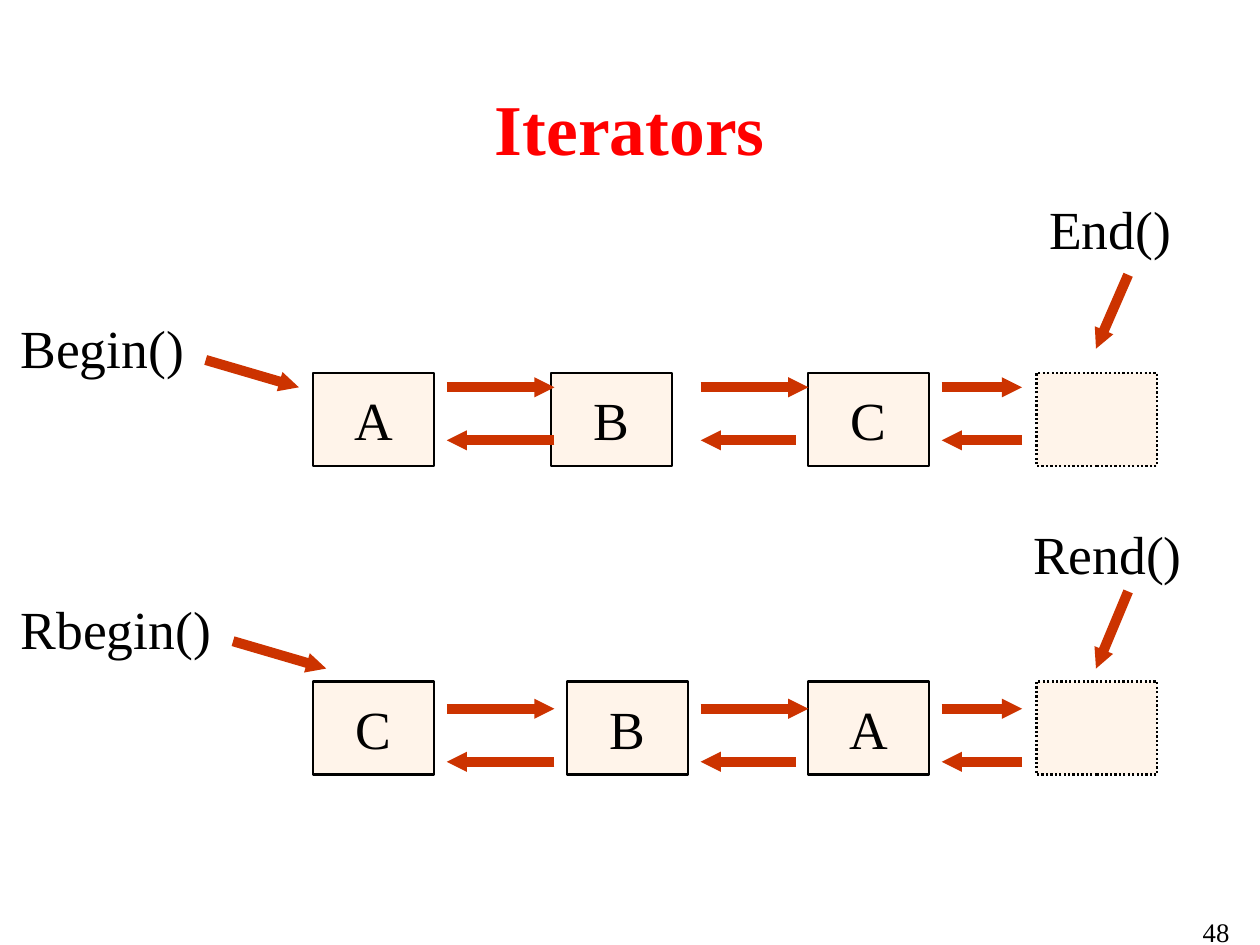
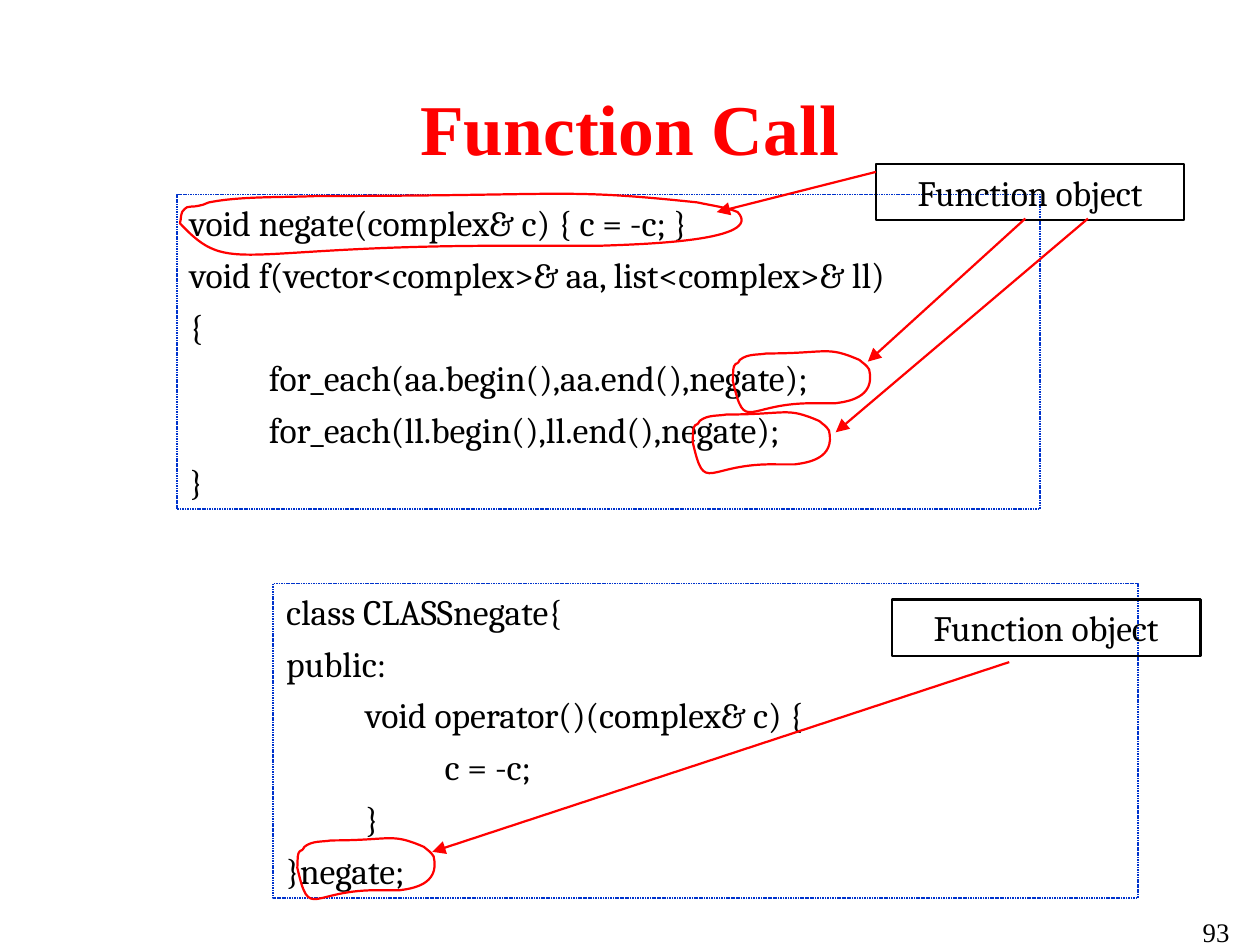
from dataclasses import dataclass
from typing import NamedTuple, Optional

from lxml.etree import SubElement
from pptx import Presentation
from pptx.dml.color import RGBColor
from pptx.enum.dml import MSO_LINE
from pptx.enum.shapes import MSO_CONNECTOR, MSO_SHAPE
from pptx.enum.text import MSO_ANCHOR, PP_ALIGN
from pptx.oxml.ns import qn
from pptx.shapes.autoshape import Shape
from pptx.slide import Slide
from pptx.util import Emu, Pt

PX = 9144
SLIDE_WIDTH, SLIDE_HEIGHT = 784, 588


def px(length: float) -> Emu:
    return Emu(round(length * PX))


@dataclass(frozen=True)
class Theme:
    background: str = "FFFFFF"
    ink: str = "000000"
    accent: str = "FF0000"
    link: str = "CC3300"
    cell: str = "FFCC99"
    cell_alpha: int = 20000
    code_border: str = "0033CC"
    serif: str = "Times New Roman"
    code: str = "Cambria"
    title_size: int = 32
    label_size: int = 24
    code_size: int = 16
    number_size: int = 12
    code_spacing: int = 4
    tab_step: float = 49.35
    tab_count: int = 8


THEME = Theme()


class Box(NamedTuple):
    left: int
    top: int
    width: int
    height: int


class Point(NamedTuple):
    x: int
    y: int


class Arrow(NamedTuple):
    start: Point
    end: Point


class Dash(NamedTuple):
    length: int
    gap: int


@dataclass(frozen=True)
class TextStyle:
    size: int
    font: str = THEME.serif
    color: str = THEME.ink
    bold: bool = False
    align: PP_ALIGN = PP_ALIGN.LEFT
    anchor: MSO_ANCHOR = MSO_ANCHOR.TOP
    inset: Point = Point(8, 4)
    wrap: bool = True
    spacing: int = 0
    tabs: bool = False


@dataclass(frozen=True)
class Stroke:
    color: str
    width: float
    preset: Optional[MSO_LINE] = None
    dash: Optional[Dash] = None
    head: str = "med"


TITLE = TextStyle(THEME.title_size, color=THEME.accent, bold=True,
                  align=PP_ALIGN.CENTER, anchor=MSO_ANCHOR.MIDDLE)
NUMBER = TextStyle(THEME.number_size, align=PP_ALIGN.RIGHT)
LABEL = TextStyle(THEME.label_size, inset=Point(10, 5))
CELL = TextStyle(THEME.label_size, align=PP_ALIGN.CENTER, anchor=MSO_ANCHOR.MIDDLE,
                 inset=Point(10, 5), wrap=False)
CODE = TextStyle(THEME.code_size, THEME.code, spacing=THEME.code_spacing, tabs=True)
CALLOUT = TextStyle(THEME.code_size, THEME.code, align=PP_ALIGN.CENTER)

SOLID_BORDER = Stroke(THEME.ink, 1)
END_BORDER = Stroke(THEME.ink, 1, preset=MSO_LINE.ROUND_DOT)
CODE_BORDER = Stroke(THEME.code_border, 0.75, dash=Dash(100000, 50000))
LINK_STROKE = Stroke(THEME.link, 4.5, head="sm")
MARK_STROKE = Stroke(THEME.accent, 1)


@dataclass(frozen=True)
class IteratorRow:
    cells: tuple[tuple[str, int], ...]
    cell_top: int
    forward_y: int
    begin: str
    begin_box: Box
    begin_arrow: Arrow
    end: str
    end_box: Box
    end_arrow: Arrow


CELL_WIDTH, CELL_HEIGHT = 75, 58
END_CELL_LEFT = 645
BACKWARD_OFFSET = 33
FORWARD_SPANS = ((278, 345), (436, 503), (586, 636))
BACKWARD_SPANS = ((345, 278), (495, 436), (636, 586))

ROWS = (
    IteratorRow((("A", 195), ("B", 343), ("C", 503)), 232, 241,
                "Begin()", Box(3, 191, 133, 50), Arrow(Point(128, 224), Point(186, 241)),
                "End()", Box(643, 117, 117, 50), Arrow(Point(702, 171), Point(682, 217))),
    IteratorRow((("C", 195), ("B", 353), ("A", 503)), 424, 441,
                "Rbegin()", Box(3, 366, 150, 50), Arrow(Point(145, 399), Point(203, 416)),
                "Rend()", Box(633, 319, 133, 50), Arrow(Point(702, 368), Point(682, 416))),
)

CODE_BLOCKS = (
    (Box(110, 121, 537, 196), (
        "void negate(complex& c) { c = -c; }",
        "void f(vector<complex>& aa, list<complex>& ll)",
        "{",
        "\tfor_each(aa.begin(),aa.end(),negate);",
        "\tfor_each(ll.begin(),ll.end(),negate);",
        "}",
    )),
    (Box(170, 363, 538, 196), (
        "class CLASSnegate{",
        "public:",
        "\tvoid operator()(complex& c) {",
        "\t\tc = -c;",
        "\t}",
        "}negate;",
    )),
)
CALLOUT_BOXES = (Box(555, 373, 192, 35), Box(545, 102, 192, 35))
LOOP_BOXES = (Box(185, 518, 89, 56), Box(456, 215, 89, 56),
              Box(431, 253, 89, 56), Box(112, 117, 364, 56))
CALLOUT_ARROWS = (
    Arrow(Point(628, 412), Point(269, 530)),
    Arrow(Point(638, 136), Point(540, 225)),
    Arrow(Point(677, 136), Point(520, 269)),
    Arrow(Point(545, 107), Point(446, 132)),
)

LOOP_WIDTH, LOOP_HEIGHT = 364, 56
LOOP_START = Point(214, 36)
LOOP_CURVES = (
    (Point(33, 35), Point(32, 56), Point(0, 22)),
    (Point(1, 19), Point(0, 15), Point(3, 13)),
    (Point(4, 11), Point(9, 12), Point(12, 11)),
    (Point(14, 11), Point(15, 10), Point(18, 9)),
    (Point(38, 5), Point(64, 6), Point(86, 5)),
    (Point(243, 5), Point(237, 0), Point(322, 9)),
    (Point(331, 11), Point(340, 12), Point(347, 15)),
    (Point(364, 33), Point(289, 35), Point(260, 36)),
    (Point(245, 36), Point(229, 36), LOOP_START),
)


def write(shape: Shape, lines: tuple[str, ...], style: TextStyle) -> None:
    frame = shape.text_frame
    frame.word_wrap = style.wrap
    frame.vertical_anchor = style.anchor
    frame.margin_left = frame.margin_right = px(style.inset.x)
    frame.margin_top = frame.margin_bottom = px(style.inset.y)
    frame.text = "\n".join(lines)
    for index, paragraph in enumerate(frame.paragraphs):
        paragraph.alignment = style.align
        if index and style.spacing:
            paragraph.space_before = Pt(style.spacing)
        if style.tabs:
            tab_list = SubElement(paragraph._p.get_or_add_pPr(), qn("a:tabLst"))
            for stop in range(THEME.tab_count):
                SubElement(tab_list, qn("a:tab"), pos=str(px(stop * THEME.tab_step)), algn="l")
        for run in paragraph.runs:
            run.font.name = style.font
            run.font.size = Pt(style.size)
            run.font.bold = style.bold
            run.font.color.rgb = RGBColor.from_string(style.color)


def apply_stroke(shape, stroke: Stroke) -> None:
    shape.line.color.rgb = RGBColor.from_string(stroke.color)
    shape.line.width = Pt(stroke.width)
    if stroke.preset is not None:
        shape.line.dash_style = stroke.preset
    if stroke.dash is not None:
        custom = SubElement(shape.line._get_or_add_ln(), qn("a:custDash"))
        SubElement(custom, qn("a:ds"), d=str(stroke.dash.length), sp=str(stroke.dash.gap))


def add_text(slide: Slide, box: Box, text: str, style: TextStyle) -> None:
    write(slide.shapes.add_textbox(*map(px, box)), (text,), style)


def outline(shape: Shape, stroke: Stroke) -> Shape:
    shape.shadow.inherit = False
    shape.fill.background()
    apply_stroke(shape, stroke)
    return shape


def add_frame(slide: Slide, box: Box, stroke: Stroke) -> Shape:
    return outline(slide.shapes.add_shape(MSO_SHAPE.RECTANGLE, *map(px, box)), stroke)


def add_cell(slide: Slide, left: int, top: int, stroke: Stroke, text: str = "") -> None:
    shape = add_frame(slide, Box(left, top, CELL_WIDTH, CELL_HEIGHT), stroke)
    shape.fill.solid()
    shape.fill.fore_color.rgb = RGBColor.from_string(THEME.cell)
    color = shape._element.spPr.find(qn("a:solidFill")).find(qn("a:srgbClr"))
    SubElement(color, qn("a:alpha"), val=str(THEME.cell_alpha))
    if text:
        write(shape, (text,), CELL)


def add_arrow(slide: Slide, arrow: Arrow, stroke: Stroke) -> None:
    connector = slide.shapes.add_connector(
        MSO_CONNECTOR.STRAIGHT, *map(px, (*arrow.start, *arrow.end)))
    apply_stroke(connector, stroke)
    SubElement(connector.line._get_or_add_ln(), qn("a:tailEnd"),
               type="triangle", w=stroke.head, len=stroke.head)
    SubElement(connector._element.spPr, qn("a:effectLst"))


def add_loop(slide: Slide, box: Box) -> None:
    def place(point: Point) -> tuple[Emu, Emu]:
        return (px(box.left + point.x * box.width / LOOP_WIDTH),
                px(box.top + point.y * box.height / LOOP_HEIGHT))

    builder = slide.shapes.build_freeform(*place(LOOP_START))
    builder.add_line_segments([place(point) for curve in LOOP_CURVES for point in curve],
                              close=True)
    shape = outline(builder.convert_to_shape(), MARK_STROKE)
    segments = list(shape._element.iter(qn("a:lnTo")))
    for first in range(0, len(LOOP_CURVES) * 3, 3):
        curve = segments[first].makeelement(qn("a:cubicBezTo"))
        segments[first].addprevious(curve)
        for segment in segments[first:first + 3]:
            curve.append(segment[0])
            segment.getparent().remove(segment)


def add_slide(presentation, title: str, number: int) -> Slide:
    slide = presentation.slides.add_slide(presentation.slide_layouts[6])
    slide.background.fill.solid()
    slide.background.fill.fore_color.rgb = RGBColor.from_string(THEME.background)
    add_text(slide, Box(577, 566, 196, 41), str(number), NUMBER)
    add_text(slide, Box(26, 48, 732, 62), title, TITLE)
    return slide


def add_iterator_row(slide: Slide, row: IteratorRow) -> None:
    for text, left in row.cells:
        add_cell(slide, left, row.cell_top, SOLID_BORDER, text)
    add_cell(slide, END_CELL_LEFT, row.cell_top, END_BORDER)
    for spans, y in ((FORWARD_SPANS, row.forward_y),
                     (BACKWARD_SPANS, row.forward_y + BACKWARD_OFFSET)):
        for start, end in spans:
            add_arrow(slide, Arrow(Point(start, y), Point(end, y)), LINK_STROKE)
    for text, box, arrow in ((row.begin, row.begin_box, row.begin_arrow),
                             (row.end, row.end_box, row.end_arrow)):
        add_text(slide, box, text, LABEL)
        add_arrow(slide, arrow, LINK_STROKE)


def add_function_call(slide: Slide) -> None:
    for box, lines in CODE_BLOCKS:
        write(add_frame(slide, box, CODE_BORDER), lines, CODE)
    for box in CALLOUT_BOXES:
        write(add_frame(slide, box, SOLID_BORDER), ("Function object",), CALLOUT)
    for box in LOOP_BOXES:
        add_loop(slide, box)
    for arrow in CALLOUT_ARROWS:
        add_arrow(slide, arrow, MARK_STROKE)


def main() -> None:
    presentation = Presentation()
    presentation.slide_width = px(SLIDE_WIDTH)
    presentation.slide_height = px(SLIDE_HEIGHT)
    iterators = add_slide(presentation, "Iterators", 48)
    for row in ROWS:
        add_iterator_row(iterators, row)
    add_function_call(add_slide(presentation, "Function Call", 93))
    presentation.save("out.pptx")


if __name__ == "__main__":
    main()
